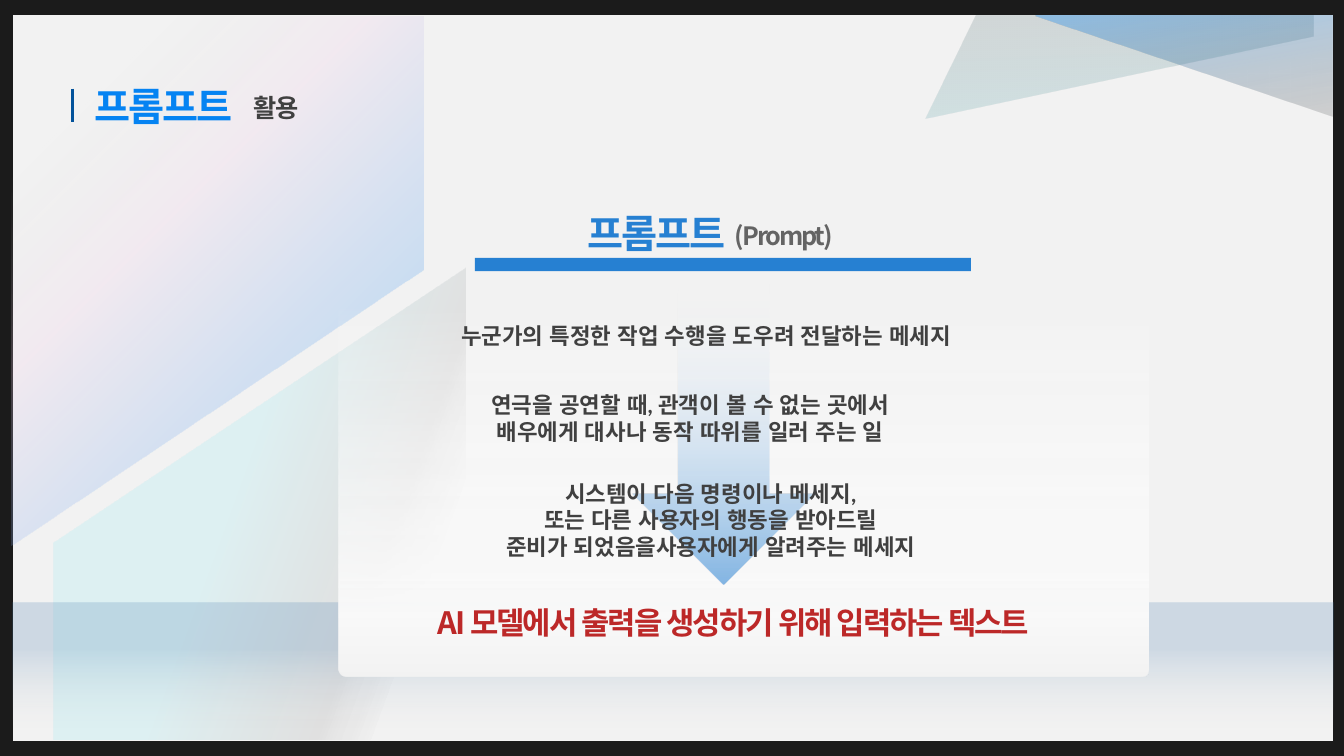
import math
from lxml import etree
from pptx import Presentation
from pptx.dml.color import RGBColor
from pptx.enum.shapes import MSO_CONNECTOR, MSO_SHAPE
from pptx.enum.text import MSO_ANCHOR, MSO_AUTO_SIZE, PP_ALIGN
from pptx.oxml import parse_xml
from pptx.oxml.ns import nsdecls, qn
from pptx.util import Inches, Pt

INK = {
    "frame": "1B1B1B", "paper": "F2F2F2", "navy": "03539B", "azure": "0583F2",
    "blue": "2680D2", "pale": "A6CAEC", "steel": "497EAF", "cyan": "05DBF2",
    "black": "0D0D0D", "pink": "F2CFEE", "silver": "D9D9D9", "ash": "D1D1D1",
    "white": "FFFFFF", "snow": "F9F9F9", "text": "404040", "gray": "646464",
    "red": "BC2828",
}
SANS = "Noto Sans CJK KR"
LEFT, MID, RIGHT = PP_ALIGN.LEFT, PP_ALIGN.CENTER, PP_ALIGN.RIGHT


def rgb(name):
    return RGBColor.from_string(INK[name])


def paint(shape, fill):
    """Fill with a colour name, or with (angle, [(place, colour, alpha), ...])."""
    shape.shadow.inherit = False
    shape.line.fill.background()
    if isinstance(fill, str):
        shape.fill.solid()
        shape.fill.fore_color.rgb = rgb(fill)
        return
    angle, stops = fill
    marks = "".join(
        f'<a:gs pos="{place * 1000}"><a:srgbClr val="{INK[name]}">'
        f'<a:alpha val="{alpha * 1000}"/></a:srgbClr></a:gs>'
        for place, name, alpha in stops)
    shape._element.spPr.insert(2, parse_xml(
        f'<a:gradFill {nsdecls("a")} rotWithShape="1"><a:gsLst>{marks}</a:gsLst>'
        f'<a:lin ang="{angle * 60000}" scaled="0"/></a:gradFill>'))


def block(slide, kind, box, fill, adjust=None):
    shape = slide.shapes.add_shape(kind, *map(Inches, box))
    if adjust is not None:
        shape.adjustments[0] = adjust
    paint(shape, fill)


def turn(points, center, angle):
    cos, sin = math.cos(math.radians(angle)), math.sin(math.radians(angle))
    cx, cy = center
    return [(cx + (x - cx) * cos - (y - cy) * sin,
             cy + (x - cx) * sin + (y - cy) * cos) for x, y in points]


def facet(slide, points, fill, angle=0, center=(0, 0)):
    """Polygon given as seen; its gradient turns with the given angle."""
    points = [(Inches(x), Inches(y)) for x, y in turn(points, center, -angle)]
    build = slide.shapes.build_freeform(*points[0])
    build.add_line_segments(points[1:], close=True)
    shape = build.convert_to_shape()
    shape.rotation = angle
    paint(shape, fill)


def rule(slide, start, end, color, width):
    line = slide.shapes.add_connector(
        MSO_CONNECTOR.STRAIGHT, *map(Inches, start + end))
    line.line.color.rgb = rgb(color)
    line.line.width = Pt(width)
    etree.SubElement(line._element.spPr, qn("a:effectLst"))


def write(slide, box, words, size, color, face=SANS, align=LEFT, track=0,
          anchor=MSO_ANCHOR.BOTTOM, spacing=0.9, shape=None):
    shape = shape or slide.shapes.add_textbox(0, 0, 0, 0)
    shape.left, shape.top, shape.width, shape.height = map(Inches, box)
    frame = shape.text_frame
    frame.word_wrap = True
    frame.auto_size = MSO_AUTO_SIZE.NONE
    frame.vertical_anchor = anchor
    frame.text = words
    for par in frame.paragraphs:
        par.alignment = align
        par.line_spacing = spacing
        par.space_before = Pt(0)
        run = par.runs[0]
        font = run.font
        font.name, font.size, font.bold = face, Pt(size), True
        font.color.rgb = rgb(color)
        props = run._r.get_or_add_rPr()
        props.set("lang", "ko-KR")
        if track:
            props.set("spc", str(int(track * 100)))
        east = etree.Element(qn("a:ea"), typeface=SANS)
        props.find(qn("a:latin")).addnext(east)


def backdrop(slide):
    slide.background.fill.solid()
    slide.background.fill.fore_color.rgb = rgb("frame")
    block(slide, MSO_SHAPE.RECTANGLE, (0.13, 0.15, 13.09, 7.2), "paper")
    facet(slide, [(4.62, 2.65), (0.53, 5.38), (0.53, 7.34), (4.62, 7.34)],
          (20, [(45, "cyan", 8), (74, "black", 7), (84, "black", 0)]))
    facet(slide, [(4.2, 0.16), (0.11, 0.16), (0.11, 5.41), (4.2, 2.67)],
          (45, [(17, "silver", 0), (38, "pink", 22), (80, "azure", 21)]))
    facet(slide, [(13, 0.15), (9.66, 0.15), (9.16, 1.17), (13, 0.36)],
          (40, [(0, "cyan", 13), (74, "black", 14), (100, "black", 0)]),
          angle=228, center=(11, 0.57))
    facet(slide, [(13.21, 0.15), (10.28, 0.15), (10.27, 0.16), (13.21, 1.16)],
          (80, [(4, "azure", 32), (100, "black", 15)]))
    rule(slide, (0.72, 0.88), (0.72, 1.21), "navy", 2)
    facet(slide, [(0.12, 5.98), (13.23, 5.98), (13.23, 7.59), (0.12, 7.59)],
          (90, [(28, "steel", 21), (77, "ash", 0)]))


def card(slide):
    block(slide, MSO_SHAPE.ROUNDED_RECTANGLE, (3.36, 2.2, 8.03, 4.51),
          (90, [(18, "white", 0), (86, "snow", 100), (100, "paper", 100)]), 0.019)
    block(slide, MSO_SHAPE.DOWN_ARROW, (6.27, 2.81, 1.81, 2.99),
          (90, [(0, "white", 0), (46, "pale", 29), (100, "blue", 56)]))
    senses = [
        ((4.17, 3.15, 5.67, 0.37), "누군가의 특정한 작업 수행을 도우려 전달하는 메세지"),
        ((4.01, 3.83, 5.67, 0.64), "연극을 공연할 때, 관객이 볼 수 없는 곳에서\n"
                                   "배우에게 대사나 동작 따위를 일러 주는 일"),
        ((4.01, 4.71, 6.08, 0.91), "시스템이 다음 명령이나 메세지,\n"
                                   "또는 다른 사용자의 행동을 받아드릴\n"
                                   "준비가 되었음을사용자에게 알려주는 메세지"),
    ]
    for box, words in senses:
        write(slide, box, words, 16, "text", face="Lato", align=MID,
              anchor=MSO_ANCHOR.TOP, spacing=1.0)
    write(slide, (3.83, 5.8, 6.89, 0.61),
          "AI 모델에서 출력을 생성하기 위해 입력하는 텍스트", 22, "red",
          align=MID, track=-1.5)
    write(slide, (5.73, 1.99, 1.73, 0.61), "프롬프트", 28, "blue", track=-1.5)
    write(slide, (6.75, 1.93, 1.61, 0.61), "(Prompt)", 18, "gray",
          align=RIGHT, track=-1.5)
    block(slide, MSO_SHAPE.RECTANGLE, (4.71, 2.56, 4.92, 0.13), "blue")


def heading(slide):
    write(slide, (2.42, 0.74, 0.88, 0.53), "활용", 18, "text", track=-1)
    title = slide.shapes.title
    write(slide, (0.84, 0.73, 2.52, 0.61), "프롬프트", 28, "azure",
          track=-1.5, shape=title)
    slide.shapes._spTree.append(title._element)


def main():
    deck = Presentation()
    deck.slide_width, deck.slide_height = Inches(13.33), Inches(7.5)
    slide = deck.slides.add_slide(deck.slide_layouts[5])
    backdrop(slide)
    card(slide)
    heading(slide)
    deck.save("out.pptx")


if __name__ == "__main__":
    main()
